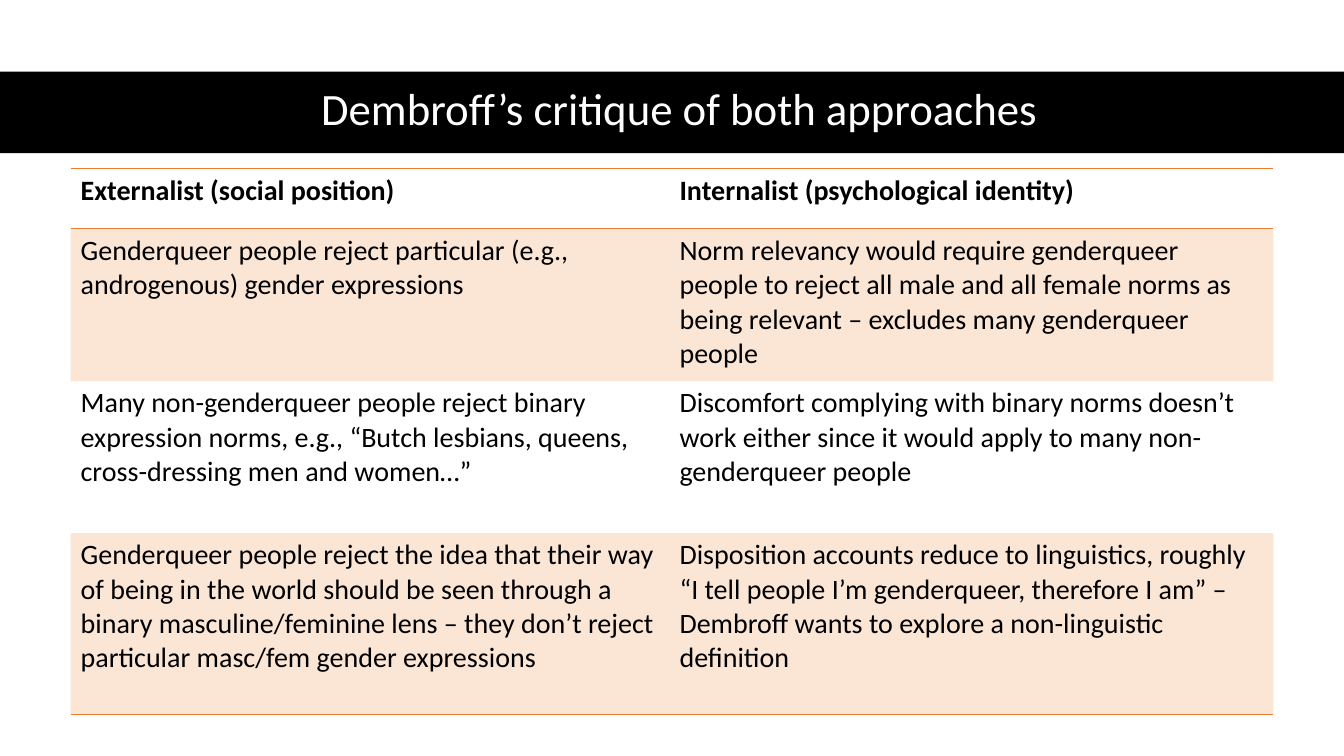
from lxml.etree import SubElement
from pptx import Presentation
from pptx.dml.color import RGBColor
from pptx.enum.shapes import MSO_SHAPE
from pptx.enum.text import MSO_ANCHOR, MSO_AUTO_SIZE, PP_ALIGN
from pptx.oxml.ns import qn
from pptx.util import Inches, Pt

TITLE = "Dembroff’s critique of both approaches"
ROWS = [
    ("Externalist (social position)", "Internalist (psychological identity)"),
    ("Genderqueer people reject particular (e.g., androgenous) gender expressions",
     "Norm relevancy would require genderqueer people to reject all male and all "
     "female norms as being relevant – excludes many genderqueer people"),
    ("Many non-genderqueer people reject binary expression norms, e.g., "
     "“Butch lesbians, queens, cross-dressing men and women…”",
     "Discomfort complying with binary norms doesn’t work either since it would "
     "apply to many non-genderqueer people"),
    ("Genderqueer people reject the idea that their way of being in the world "
     "should be seen through a binary masculine/feminine lens – they don’t reject "
     "particular masc/fem gender expressions",
     "Disposition accounts reduce to linguistics, roughly “I tell people I’m "
     "genderqueer, therefore I am” – Dembroff wants to explore a non-linguistic "
     "definition"),
]
WIDTHS = (5.94, 5.99)
HEIGHTS = (0.6, 1.51, 1.51, 1.8)

BLACK = RGBColor(0, 0, 0)
WHITE = RGBColor(255, 255, 255)
ORANGE = RGBColor(0xED, 0x7D, 0x31)
NO_STYLE = "{2D5ABB26-0587-4C30-8999-92F81FD0307C}"


def write(frame, text, size=20, color=BLACK, bold=False, align=PP_ALIGN.LEFT, space=1.0):
    para = frame.paragraphs[0]
    para.alignment = align
    para.line_spacing = space
    run = para.add_run()
    run.text = text
    font = run.font
    font.name, font.size, font.bold = "Calibri", Pt(size), bold
    font.color.rgb = color


def rule(cell, side):
    line = SubElement(cell._tc.get_or_add_tcPr(), qn(f"a:ln{side}"), w=str(Pt(1)))
    fill = SubElement(line, qn("a:solidFill"))
    SubElement(fill, qn("a:srgbClr"), val=str(ORANGE))


def tint(cell):
    cell.fill.solid()
    cell.fill.fore_color.rgb = ORANGE
    color = cell._tc.tcPr.find(qn("a:solidFill")).find(qn("a:srgbClr"))
    SubElement(color, qn("a:alpha"), val="20000")


def add_band(slide):
    band = slide.shapes.add_shape(
        MSO_SHAPE.RECTANGLE, 0, Inches(0.71), Inches(13.33), Inches(0.81))
    band.shadow.inherit = False
    band.fill.solid()
    band.fill.fore_color.rgb = BLACK
    band.line.fill.background()
    slide.shapes._spTree.insert(2, band._element)


def add_title(slide):
    title = slide.shapes.title
    title.left, title.top = Inches(0.61), Inches(0.7)
    title.width, title.height = Inches(12.26), Inches(0.81)
    frame = title.text_frame
    frame.auto_size = MSO_AUTO_SIZE.NONE
    frame.vertical_anchor = MSO_ANCHOR.MIDDLE
    write(frame, TITLE, size=32, color=WHITE, align=PP_ALIGN.CENTER, space=0.9)


def add_grid(slide):
    shape = slide.shapes.add_table(
        len(ROWS), len(WIDTHS), Inches(0.7), Inches(1.67),
        Inches(sum(WIDTHS)), Inches(sum(HEIGHTS)))
    table = shape.table
    table._tbl.tblPr.find(qn("a:tableStyleId")).text = NO_STYLE
    for col, width in zip(table.columns, WIDTHS):
        col.width = Inches(width)
    for num, (row, height, texts) in enumerate(zip(table.rows, HEIGHTS, ROWS)):
        row.height = Inches(height)
        for cell, text in zip(row.cells, texts):
            cell.margin_left = cell.margin_right = Inches(0.1)
            cell.margin_top = cell.margin_bottom = Inches(0.05)
            write(cell.text_frame, text, bold=num == 0)
            if num == 0:
                rule(cell, "T")
            if num in (0, len(ROWS) - 1):
                rule(cell, "B")
            if num % 2:
                tint(cell)
            else:
                cell.fill.background()


def main():
    deck = Presentation()
    deck.slide_width, deck.slide_height = Inches(13.33), Inches(7.5)
    slide = deck.slides.add_slide(deck.slide_layouts[5])
    add_band(slide)
    add_title(slide)
    add_grid(slide)
    deck.save("out.pptx")


if __name__ == "__main__":
    main()
